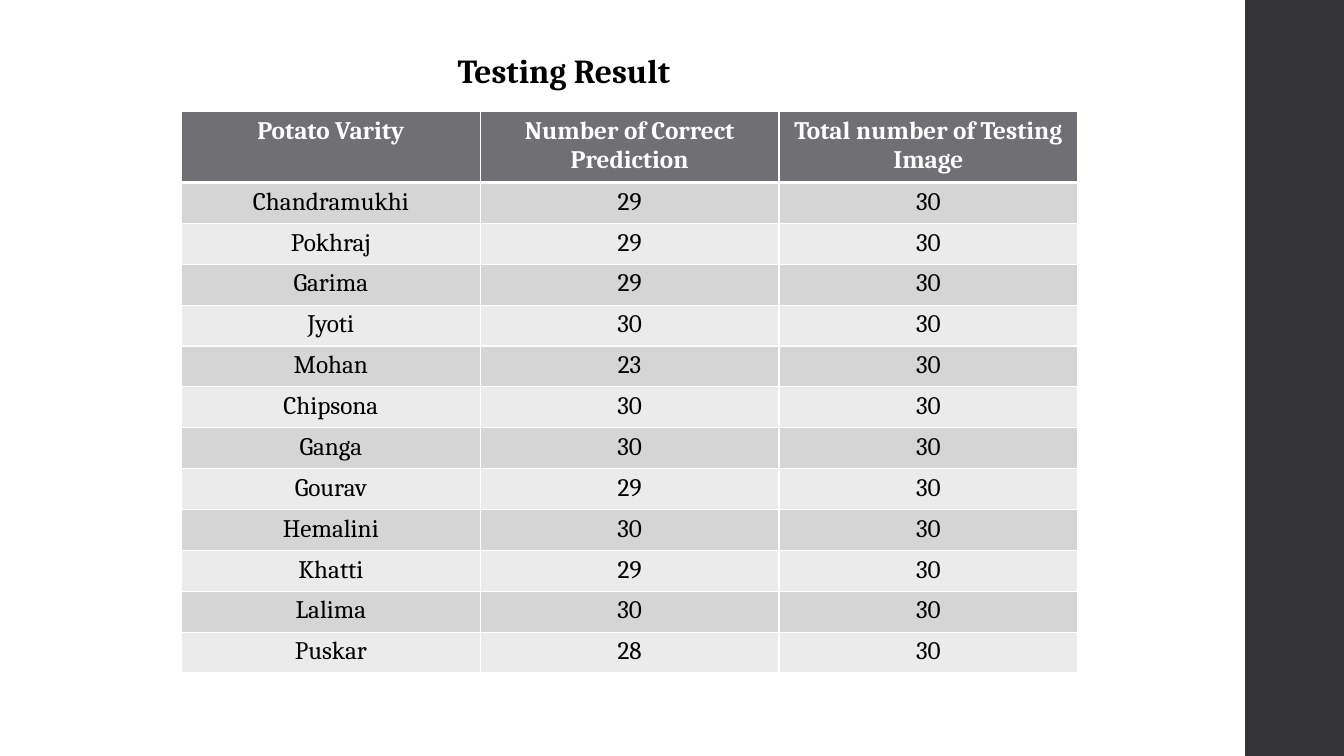
from lxml import etree
from pptx import Presentation
from pptx.dml.color import RGBColor
from pptx.enum.shapes import MSO_SHAPE
from pptx.enum.text import PP_ALIGN
from pptx.oxml.ns import qn
from pptx.util import Inches, Pt

RECTANGLE = MSO_SHAPE.RECTANGLE
CENTER = PP_ALIGN.CENTER
FONT = "Cambria"
SLIDE_W, SLIDE_H = 13.33, 7.5
HEADER_H = 0.7

COLORS = {
    "side_band": "353537",
    "header": "6F6F74",
    "odd_row": "D5D5D6",
    "even_row": "EBEBEB",
    "white": "FFFFFF",
    "black": "000000",
}

HEADINGS = ("Potato Varity", "Number of Correct Prediction",
            "Total number of Testing Image")
TESTED = 30
CORRECT = {
    "Chandramukhi": 29, "Pokhraj": 29, "Garima": 29, "Jyoti": 30,
    "Mohan": 23, "Chipsona": 30, "Ganga": 30, "Gourav": 29,
    "Hemalini": 30, "Khatti": 29, "Lalima": 30, "Puskar": 28,
}


def color(name):
    return RGBColor.from_string(COLORS[name])


def style_text(paragraph, size, color_name, bold):
    font = paragraph.font
    font.name, font.size, font.bold = FONT, Pt(size), bold
    font.color.rgb = color(color_name)


def set_borders(cell, top, bottom):
    """White rules on all four sides, widths in points."""
    properties = cell._tc.get_or_add_tcPr()
    sides = (("a:lnL", 1), ("a:lnR", 1), ("a:lnT", top), ("a:lnB", bottom))
    for position, (side, width) in enumerate(sides):
        line = etree.Element(qn(side), w=str(Pt(width)))
        fill = etree.SubElement(line, qn("a:solidFill"))
        etree.SubElement(fill, qn("a:srgbClr"), val=COLORS["white"])
        properties.insert(position, line)


def add_side_band(slide, left, top, width, height):
    band = slide.shapes.add_shape(RECTANGLE, *map(Inches, (left, top, width, height)))
    band.shadow.inherit = False
    band.fill.solid()
    band.fill.fore_color.rgb = color("side_band")
    band.line.fill.background()


def add_title(slide, left, top, width, height):
    title = slide.shapes.add_textbox(*map(Inches, (left, top, width, height)))
    title.text_frame.word_wrap = True
    title.text_frame.text = "Testing Result"
    style_text(title.text_frame.paragraphs[0], 24, "black", True)


def add_results(slide, left, top, width, height):
    rows = [HEADINGS] + [(variety, count, TESTED) for variety, count in CORRECT.items()]
    frame = slide.shapes.add_table(len(rows), len(HEADINGS),
                                   *map(Inches, (left, top, width, height)))
    table = frame.table
    for column in table.columns:
        column.width = Inches(width / len(HEADINGS))

    body_row_h = (height - HEADER_H) / len(CORRECT)
    for r, values in enumerate(rows):
        is_header = r == 0
        table.rows[r].height = Inches(HEADER_H if is_header else body_row_h)
        fill = "header" if is_header else "odd_row" if r % 2 else "even_row"
        for c, value in enumerate(values):
            cell = table.cell(r, c)
            cell.text = str(value)
            cell.fill.solid()
            cell.fill.fore_color.rgb = color(fill)
            # The heavy rule lies between the header and the first variety
            set_borders(cell, 3 if r == 1 else 1, 3 if is_header else 1)
            paragraph = cell.text_frame.paragraphs[0]
            paragraph.alignment = CENTER
            style_text(paragraph, 18, "white" if is_header else "black", is_header)


def main():
    prs = Presentation()
    prs.slide_width, prs.slide_height = Inches(SLIDE_W), Inches(SLIDE_H)
    slide = prs.slides.add_slide(prs.slide_layouts[6])
    slide.background.fill.solid()
    slide.background.fill.fore_color.rgb = color("white")

    add_side_band(slide, 12.35, 0, SLIDE_W - 12.35, SLIDE_H)
    add_title(slide, 4.44, 0.45, 2.74, 0.5)
    add_results(slide, 1.8, 1.11, 8.89, 5.57)
    prs.save("out.pptx")


if __name__ == "__main__":
    main()
